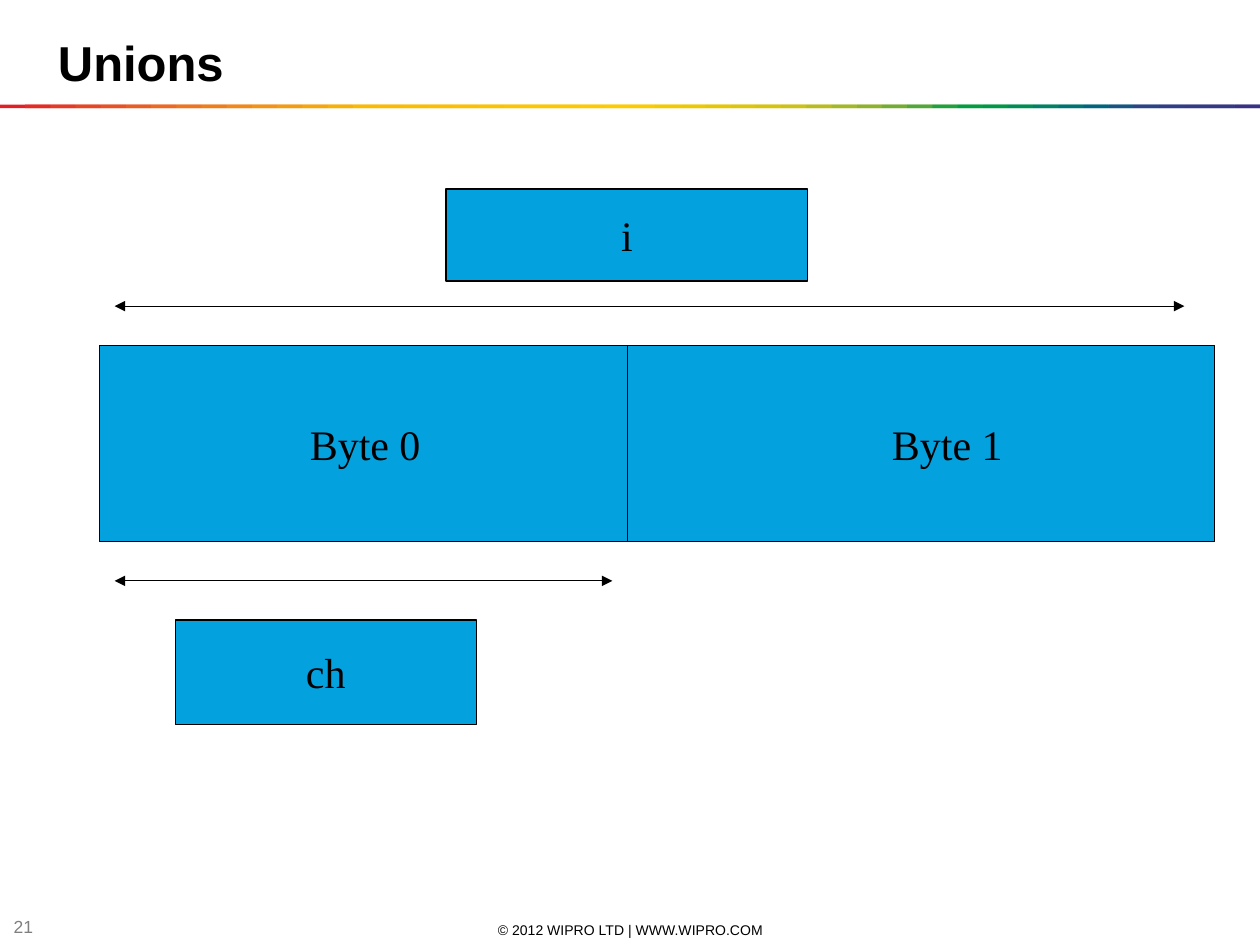
from dataclasses import dataclass

from lxml import etree
from pptx import Presentation
from pptx import util as u
from pptx.dml.color import RGBColor
from pptx.enum import shapes, text
from pptx.oxml.ns import qn

CELL = 0.1  # inches: the slide is a grid of 100 columns by 75 rows
COLUMNS, ROWS = 100, 75
BLACK, GREY, BLUE = "000000", "7F7F7F", "03A2DF"
RAINBOW = """
E31E24 E42C24 E53A24 E74623 E85122 EA5D21 EC691F EE741D EF7E1A F18817
F39314 F49C0F F6A607 F8B002 FBBA00 FBBB00 FBBD00 FCBF00 FCC000 FCC200
FDC400 FDC600 FDC700 FEC900 FECB00 FBCB00 F3CA00 ECC800 E4C602 DCC50A
D5C30E CCC117 B8BC21 A3B829 8CB230 71AD36 51A73B 1DA240 009D43 009846
008C57 008068 007275 00637F 185384 2E4285 313E85 333B85 353885 393185
""".split()


@dataclass
class Area:
    column: float
    row: float
    columns: float
    rows: float

    def lengths(self) -> list:
        return [grid(n) for n in (self.column, self.row, self.columns, self.rows)]


@dataclass
class Label:
    words: str
    size: float
    font: str = "Times New Roman"
    colour: str = BLACK
    align: text.PP_ALIGN = text.PP_ALIGN.CENTER
    bold: bool = False
    wrap: bool = True
    tabs: tuple = ()  # centred tab stops, in columns from the text edge


@dataclass
class Line:
    start: tuple
    end: tuple
    arrows: bool = True


def grid(cells: float) -> int:
    return u.Inches(cells * CELL)


def rgb(colour: str) -> RGBColor:
    return RGBColor.from_string(colour)


def write(shape, label: Label) -> None:
    frame = shape.text_frame
    frame.text = label.words
    frame.word_wrap = label.wrap
    frame.auto_size = text.MSO_AUTO_SIZE.NONE
    frame.vertical_anchor = text.MSO_ANCHOR.MIDDLE
    paragraph = frame.paragraphs[0]
    paragraph.alignment = label.align
    if label.tabs:
        stops = etree.SubElement(paragraph._p.get_or_add_pPr(), qn("a:tabLst"))
        for column in label.tabs:
            etree.SubElement(stops, qn("a:tab"), pos=str(grid(column)), algn="ctr")
    font = paragraph.font
    font.name, font.size, font.bold = label.font, u.Pt(label.size), label.bold
    font.color.rgb = rgb(label.colour)


def add_rectangle(slide, area: Area, fill: str, outlined: bool = True):
    shape = slide.shapes.add_shape(shapes.MSO_SHAPE.RECTANGLE, *area.lengths())
    shape.shadow.inherit = False
    shape.fill.solid()
    shape.fill.fore_color.rgb = rgb(fill)
    if outlined:
        shape.line.color.rgb = rgb(BLACK)
        shape.line.width = u.Pt(0.75)
    else:
        shape.line.fill.background()
    return shape


def add_line(slide, line: Line) -> None:
    ends = [grid(n) for n in (*line.start, *line.end)]
    connector = slide.shapes.add_connector(shapes.MSO_CONNECTOR.STRAIGHT, *ends)
    connector.line.color.rgb = rgb(BLACK)
    connector.line.width = u.Pt(0.75)
    if line.arrows:
        for end in ("a:headEnd", "a:tailEnd"):
            etree.SubElement(connector.line._get_or_add_ln(), qn(end), type="triangle")
    etree.SubElement(connector._element.spPr, qn("a:effectLst"))


def main() -> None:
    presentation = Presentation()
    presentation.slide_width, presentation.slide_height = grid(COLUMNS), grid(ROWS)
    slide = presentation.slides.add_slide(presentation.slide_layouts[5])

    # Title
    title = slide.shapes.title
    title.left, title.top, title.width, title.height = Area(3.6, 2.1, 90, 5.7).lengths()
    write(title, Label("Unions", 28, "Arial", align=text.PP_ALIGN.LEFT, bold=True))

    # Rainbow rule: each stripe overlaps the one before it by half
    step = COLUMNS / len(RAINBOW)
    for index, colour in enumerate(RAINBOW):
        left = index * step
        stripe = Area(left, 8.3, min(2 * step, COLUMNS - left), 0.3)
        add_rectangle(slide, stripe, colour, outlined=False)

    # Footer and slide number
    footers = [
        (Area(34.2, 73, 31.7, 1.6),
         Label("© 2012 WIPRO LTD | WWW.WIPRO.COM", 8, "Arial")),
        (Area(0.1, 72.7, 3.9, 1.6),
         Label("21", 10, "Arial", GREY, text.PP_ALIGN.LEFT)),
    ]
    for area, label in footers:
        write(slide.shapes.add_textbox(*area.lengths()), label)

    # Shared memory and the two members that use it
    memory = Area(7.9, 27.4, 88.5, 15.6)
    boxes = [
        (memory, Label("\tByte 0\tByte 1", 24, align=text.PP_ALIGN.LEFT,
                       tabs=(20.1, 66.3))),
        (Area(13.9, 49.2, 23.9, 8.3), Label("ch", 24, wrap=False)),
        (Area(35.4, 15, 28.7, 7.3), Label("i", 24, wrap=False)),
    ]
    for area, label in boxes:
        write(add_rectangle(slide, area, BLUE), label)

    # Byte divider and the extent of each member
    bottom = memory.row + memory.rows
    lines = [
        Line((49.8, memory.row), (49.8, bottom), arrows=False),
        Line((9.1, memory.row - 3.1), (94, memory.row - 3.1)),
        Line((9.1, bottom + 3.1), (48.6, bottom + 3.1)),
    ]
    for line in lines:
        add_line(slide, line)

    presentation.save("out.pptx")


if __name__ == "__main__":
    main()
